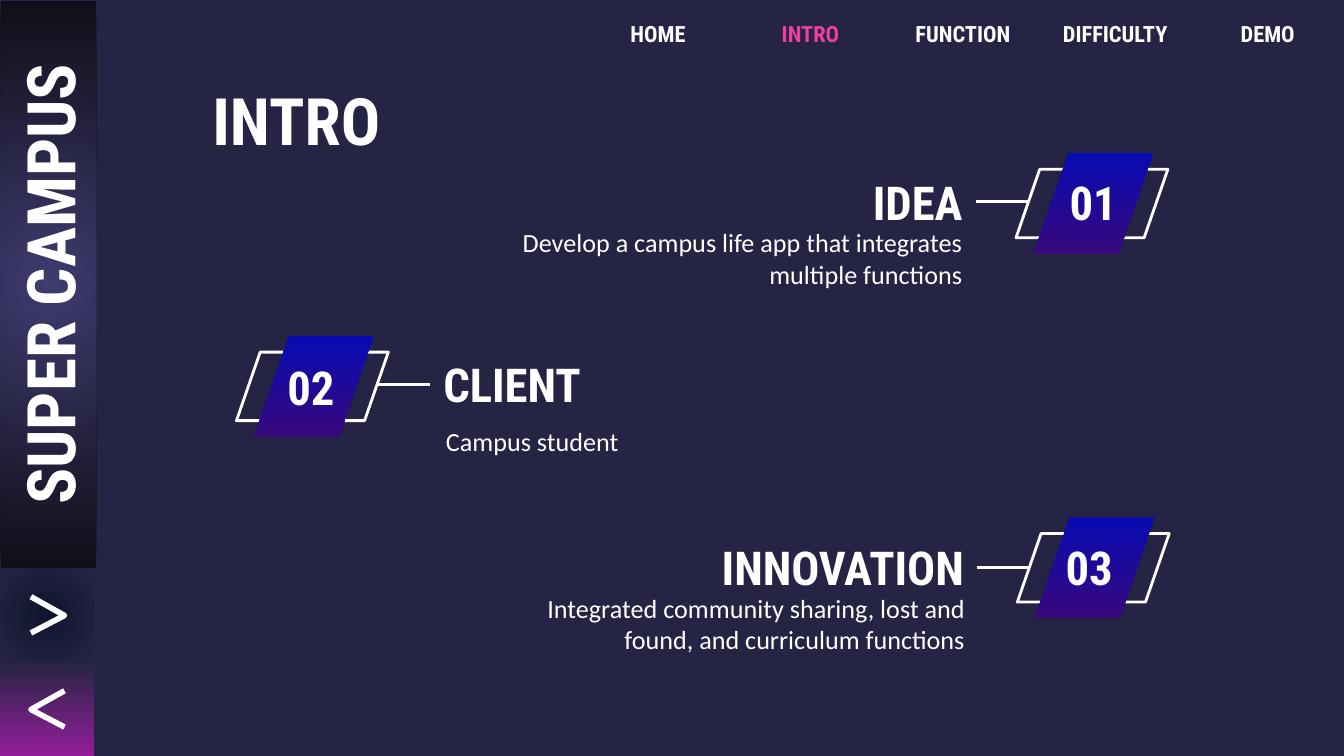
from pptx import Presentation
from pptx.dml.color import RGBColor
from pptx.enum.shapes import MSO_CONNECTOR, MSO_SHAPE
from pptx.enum.text import MSO_ANCHOR, PP_ALIGN
from pptx.oxml import parse_xml
from pptx.oxml.ns import nsdecls, qn
from pptx.util import Inches, Pt

WHITE = RGBColor(0xFF, 0xFF, 0xFF)
PINK = RGBColor(0xEE, 0x3F, 0xA2)
NAVY = RGBColor(0x26, 0x24, 0x44)
MIDNIGHT = RGBColor(0x10, 0x16, 0x2F)
PURPLE = RGBColor(0x93, 0x1E, 0x9B)
INDIGO = RGBColor(0x3E, 0x3B, 0x6F)
BLACK = RGBColor(0x10, 0x0F, 0x18)
BLUE = RGBColor(0x07, 0x0B, 0xB3)
VIOLET = RGBColor(0x38, 0x08, 0x7C)
HEAD, BODY = "Roboto Condensed", "Calibri"
LEFT, CENTER, RIGHT = PP_ALIGN.LEFT, PP_ALIGN.CENTER, PP_ALIGN.RIGHT

# Content
TITLE = "INTRO"
BRAND = "SUPER CAMPUS"
NAV = ["HOME", "INTRO", "FUNCTION", "DIFFICULTY", "DEMO"]
# Boxes are left, top, width, height; badge and number are left, top
ITEMS = [
    dict(number="01", heading="IDEA", align=RIGHT,
         text="Develop a campus life app that integrates multiple functions",
         heading_box=(4.73, 1.22, 2.53, 0.56), text_box=(3.66, 1.64, 3.6, 0.56),
         badge=(7.56, 1.26), number_at=(7.86, 1.19)),
    dict(number="02", heading="CLIENT", align=LEFT, text="Campus student",
         heading_box=(3.2, 2.58, 1.74, 0.56), text_box=(3.22, 3, 3.64, 0.56),
         badge=(1.76, 2.62), number_at=(2.04, 2.57)),
    dict(number="03", heading="INNOVATION", align=RIGHT,
         text="Integrated community sharing, lost and found, and curriculum functions",
         heading_box=(4.74, 3.94, 2.53, 0.56), text_box=(3.76, 4.36, 3.52, 0.56),
         badge=(7.57, 3.97), number_at=(7.83, 3.91)),
]
BADGE_W, BADGE_H = 1.13, 0.51
SLANT = 0.346
# Chevron points
ARROWS = [
    [(0.23, 4.44), (0.48, 4.58), (0.23, 4.71)],
    [(0.48, 5.14), (0.23, 5.28), (0.48, 5.41)],
]
SLIDE_W = 10
SLIDE_H = SLIDE_W * 9 / 16

prs = Presentation()
prs.slide_width, prs.slide_height = Inches(SLIDE_W), Inches(SLIDE_H)
s = prs.slides.add_slide(prs.slide_layouts[5])
s.background.fill.solid()
s.background.fill.fore_color.rgb = NAVY


def write(sp, text, size, font=HEAD, align=LEFT, color=WHITE, anchor=MSO_ANCHOR.MIDDLE):
    tf = sp.text_frame
    tf.word_wrap = True
    tf.vertical_anchor = anchor
    tf.margin_left = tf.margin_right = tf.margin_top = tf.margin_bottom = Inches(0.1)
    p = tf.paragraphs[0]
    p.alignment = align
    r = p.add_run()
    r.text = text
    r.font.name, r.font.size, r.font.bold = font, Pt(size), font == HEAD
    r.font.color.rgb = color


def add_text(box, text, size, **style):
    sp = s.shapes.add_textbox(*map(Inches, box))
    write(sp, text, size, **style)
    return sp


def add_shape(kind, box):
    sp = s.shapes.add_shape(kind, *map(Inches, box))
    sp.shadow.inherit = False
    sp.line.fill.background()
    return sp


def shade(sp, start, end, radial=False):
    sp.fill.gradient()
    sp.fill.gradient_angle = 270
    for stop, color, position in zip(sp.fill.gradient_stops, (start, end), (0, 1)):
        stop.color.rgb, stop.position = color, position
    if radial:
        grad = sp._element.spPr.find(qn("a:gradFill"))
        lin = grad.find(qn("a:lin"))
        grad.replace(lin, parse_xml(
            f'<a:path {nsdecls("a")} path="circle">'
            '<a:fillToRect l="50000" t="50000" r="50000" b="50000"/></a:path>'))


def stroke(sp, width):
    sp.line.color.rgb, sp.line.width = WHITE, Pt(width)


def add_slanted(box):
    sp = add_shape(MSO_SHAPE.PARALLELOGRAM, box)
    sp.adjustments[0] = SLANT
    return sp


# Title
title = s.shapes.title
title.left, title.top, title.width, title.height = map(Inches, (1.48, 0.57, 7.73, 0.63))
write(title, TITLE, 35)

# Sidebar
TILE = 0.7
shade(add_shape(MSO_SHAPE.RECTANGLE, (0, SLIDE_H - TILE, TILE, TILE)), NAVY, PURPLE)
shade(add_shape(MSO_SHAPE.RECTANGLE, (0, SLIDE_H - 2 * TILE, TILE, TILE)),
      MIDNIGHT, NAVY, radial=True)
banner = add_shape(MSO_SHAPE.RECTANGLE, (-1.75, 1.76, 4.22, 0.71))
banner.rotation = 270
shade(banner, INDIGO, BLACK, radial=True)
write(banner, BRAND, 36, align=CENTER)

for points in ARROWS:
    start, *rest = [(Inches(x), Inches(y)) for x, y in points]
    fb = s.shapes.build_freeform(*start)
    fb.add_line_segments(rest, close=False)
    sp = fb.convert_to_shape()
    sp.shadow.inherit = False
    sp.fill.background()
    stroke(sp, 3)

# Numbered items
for item in ITEMS:
    align = item["align"]
    heading = add_text(item["heading_box"], item["heading"], 25, align=align)
    add_text(item["text_box"], item["text"], 14, font=BODY, align=align)

    x, y = item["badge"]
    outline = add_slanted((x, y, BADGE_W, BADGE_H))
    outline.fill.background()
    stroke(outline, 1.5)
    shade(add_slanted((x + 0.13, y - 0.12, 0.89, 0.75)), BLUE, VIOLET)
    add_text((*item["number_at"], 0.71, 0.58), item["number"], 25, anchor=MSO_ANCHOR.TOP)

    # Level line from the slanted side of the badge to the heading
    inset = SLANT * BADGE_H / 2
    edge = Inches(x + inset if align == RIGHT else x + BADGE_W - inset)
    mid = heading.top + heading.height // 2
    line = s.shapes.add_connector(MSO_CONNECTOR.STRAIGHT, edge, mid, edge, mid)
    line.end_connect(heading, 3 if align == RIGHT else 1)
    stroke(line, 1.5)
    line._element.spPr.append(parse_xml(f'<a:effectLst {nsdecls("a")}/>'))

# Navigation
NAV_LEFT = 4.33
NAV_W = (SLIDE_W - NAV_LEFT) / len(NAV)
for i, label in enumerate(NAV):
    add_text((NAV_LEFT + i * NAV_W, 0.07, NAV_W, 0.36), label, 12, align=CENTER,
             color=PINK if label == TITLE else WHITE)

prs.save("out.pptx")
